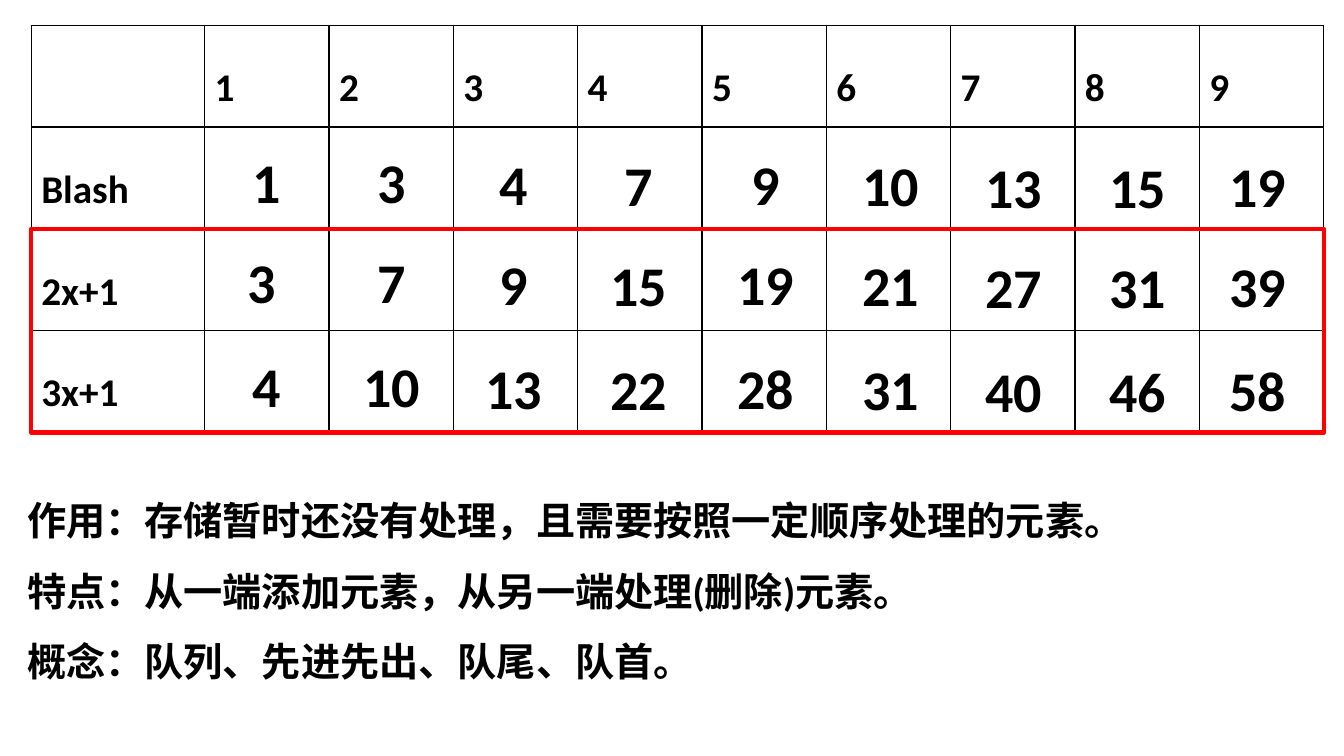
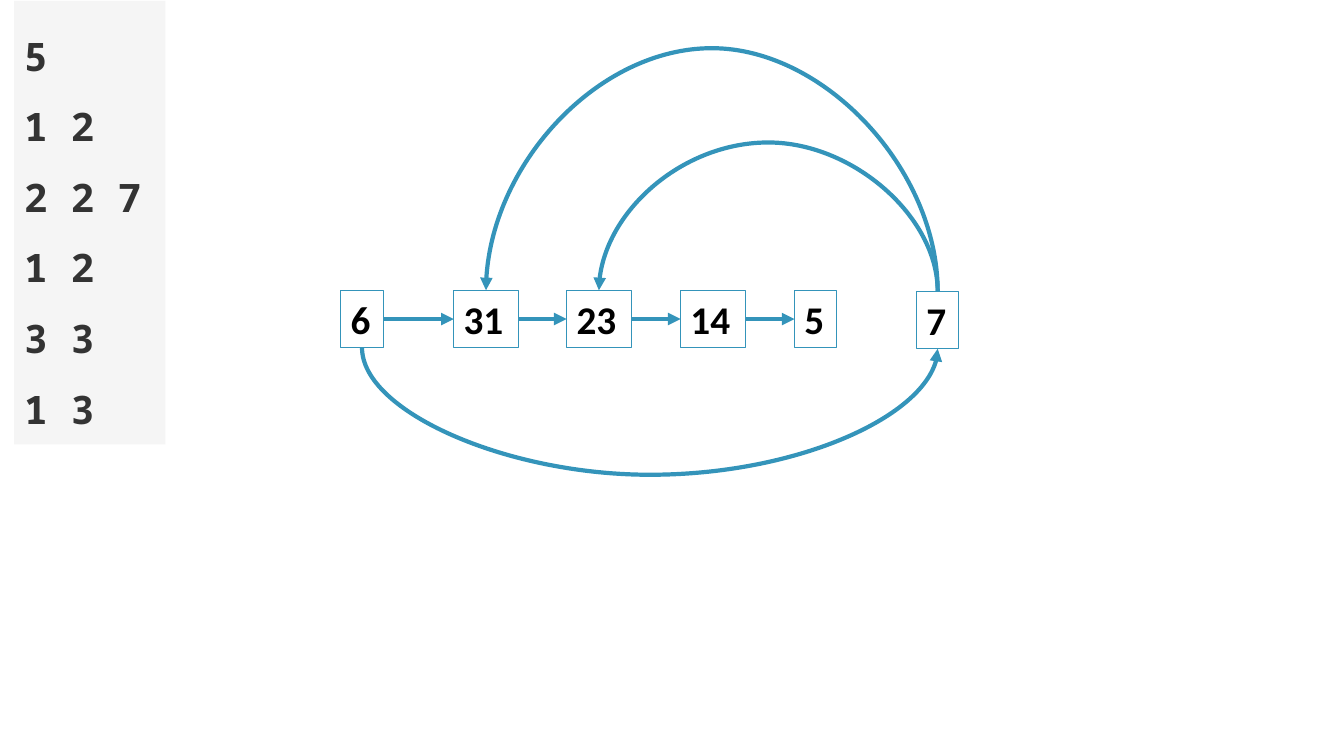
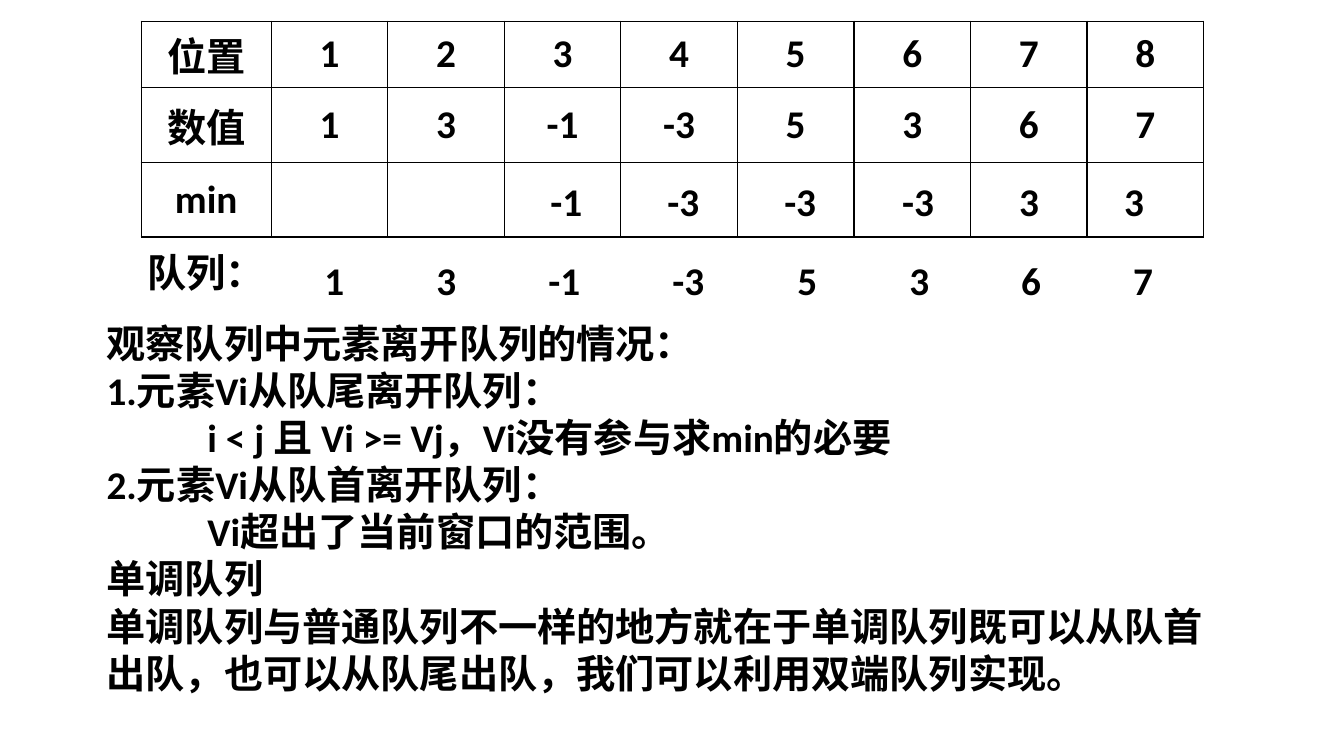
import dataclasses

import lxml.etree
import pptx
import pptx.dml.color
import pptx.enum.shapes
import pptx.enum.text
import pptx.oxml.ns
import pptx.util

ALIGN = pptx.enum.text.PP_ALIGN
ANCHOR = pptx.enum.text.MSO_ANCHOR
GROW = pptx.enum.text.MSO_AUTO_SIZE.SHAPE_TO_FIT_TEXT
CONNECTOR = pptx.enum.shapes.MSO_CONNECTOR
RECT = pptx.enum.shapes.MSO_SHAPE.RECTANGLE
PX = 9144
TOP, LEFT, BOTTOM, RIGHT = range(4)


@dataclasses.dataclass(frozen=True)
class Theme:
    """Colours, fonts, type sizes and line widths of the deck."""
    ink: str = "000000"
    code_ink: str = "333333"
    code_fill: str = "F5F5F5"
    accent: str = "3494BA"
    alert: str = "FF0000"
    font: str = "Calibri"
    code_font: str = "Noto Sans Mono"
    body: int = 28
    big: int = 40
    hairline: float = 0.75
    rule: float = 1
    heavy: float = 3


THEME = Theme()


def px(n):
    """Turn px into EMU."""
    return pptx.util.Emu(round(n * PX))


def rgb(value):
    """Turn a hex string into a colour."""
    return pptx.dml.color.RGBColor.from_string(value)


def apply(obj, values):
    """Set attributes from a dict of format values."""
    for name, value in values.items():
        setattr(obj, name, value)


def add_xml(parent, tag, **attrs):
    """Append a DrawingML child."""
    return lxml.etree.SubElement(parent, pptx.oxml.ns.qn(tag), attrs)


def write(tf, lines, para=None, size=THEME.body, font=THEME.font, ink=THEME.ink):
    """Write bold paragraphs into a text frame."""
    for i, line in enumerate(lines):
        p = tf.paragraphs[0] if i == 0 else tf.add_paragraph()
        apply(p, para or {})
        r = p.add_run()
        r.text = line
        r._r.get_or_add_rPr().set("lang", "zh-CN")
        apply(r.font, {"size": pptx.util.Pt(size), "name": font, "bold": True})
        r.font.color.rgb = rgb(ink)


def text(s, box, lines, frame=None, para=None, size=THEME.body):
    """Add a text box."""
    tf = s.shapes.add_textbox(*map(px, box)).text_frame
    apply(tf, {"word_wrap": True, **(frame or {})})
    write(tf, lines, para, size)
    return tf


def rect(s, box, line=None, width=0, fill=None):
    """Add a rectangle with an optional outline and fill."""
    sp = s.shapes.add_shape(RECT, *map(px, box))
    sp.shadow.inherit = False
    if fill:
        sp.fill.solid()
        sp.fill.fore_color.rgb = rgb(fill)
    else:
        sp.fill.background()
    if line:
        sp.line.color.rgb = rgb(line)
        sp.line.width = pptx.util.Pt(width)
    else:
        sp.line.fill.background()
    return sp


def border(cell):
    """Rule all four sides of a table cell."""
    tcPr = cell._tc.get_or_add_tcPr()
    for side in "LRTB":
        ln = add_xml(tcPr, "a:ln" + side, w=str(pptx.util.Pt(THEME.rule)))
        add_xml(add_xml(ln, "a:solidFill"), "a:srgbClr", val=THEME.ink)


def grid(s, box, first, heights, data, para):
    """Add a ruled table whose columns after the first are equal."""
    count = len(data[0])
    tbl = s.shapes.add_table(len(data), count, *map(px, box)).table
    apply(tbl, {"first_row": False, "horz_banding": False})
    for i, col in enumerate(tbl.columns):
        col.width = px(first if i == 0 else (box[2] - first) / (count - 1))
    for row, height, values in zip(tbl.rows, heights, data):
        row.height = px(height)
        for cell, value in zip(row.cells, values):
            border(cell)
            cell.fill.background()
            cell.vertical_anchor = ANCHOR.MIDDLE
            if value:
                write(cell.text_frame, [value], para)


def join(s, kind, a, site_a, b, site_b):
    """Add an arrow joining two shapes."""
    c = s.shapes.add_connector(kind, 0, 0, 0, 0)
    c.begin_connect(a, site_a)
    c.end_connect(b, site_b)
    c.line.color.rgb = rgb(THEME.accent)
    c.line.width = pptx.util.Pt(THEME.heavy)
    add_xml(c.line._get_or_add_ln(), "a:tailEnd", type="triangle")
    add_xml(c._element.spPr, "a:effectLst")
    return c


def arc(s, a, b, site, end_site, bulge):
    """Add a curved arrow that bulges by the given px."""
    c = join(s, CONNECTOR.CURVE, a, site, b, end_site)
    x1, y1, x2, y2 = c.begin_x, c.begin_y, c.end_x, c.end_y
    span, gap = abs(x2 - x1), abs(y2 - y1)
    apply(c, {"left": (x1 + x2 - gap) // 2, "top": (y1 + y2 - span) // 2,
              "width": gap, "height": span})
    xfrm = c._element.spPr.xfrm
    apply(xfrm, {"flipH": x1 < x2, "flipV": x1 > x2})
    xfrm.set("rot", "16200000")
    geom = c._element.spPr.find(pptx.oxml.ns.qn("a:prstGeom"))
    for old in list(geom):
        geom.remove(old)
    ratio = round(px(bulge) / gap * 100000)
    add_xml(add_xml(geom, "a:avLst"), "a:gd", name="adj1", fmla=f"val {ratio}")


def blash_table(s, box):
    """Place the sequence table, its large numbers and the red frame."""
    x, y, w, h = box
    data = [["", *map(str, range(1, 10))]]
    data += [[name] + [""] * 9 for name in ("Blash", "2x+1", "3x+1")]
    grid(s, box, 172, [h / 4] * 4, data, {"line_spacing": 1.5})
    numbers = [1, 3, 4, 7, 9, 10, 13, 15, 19]
    lefts = [171, 295, 416, 540, 666, 790, 912, 1035, 1154]
    drops = [0, 0, 2, 3, 2, 3, 5, 5, 4]
    for n, left, drop in zip(numbers, lefts, drops):
        for factor, top in ((1, 103), (2, 202), (3, 306)):
            value = n if factor == 1 else factor * n + 1
            nudge = -5 if (n, factor) == (1, 2) else 0
            text(s, (x + left + nudge, y + top + drop, 125, 103), [str(value)],
                 {"vertical_anchor": ANCHOR.MIDDLE},
                 {"alignment": ALIGN.CENTER}, THEME.big)
    rect(s, (x, y + h / 2, w, h / 2), THEME.alert, THEME.heavy)


def queue_notes(s, box):
    """Place the notes on what a queue is."""
    text(s, box, ["作用：存储暂时还没有处理，且需要按照一定顺序处理的元素。",
                  "特点：从一端添加元素，从另一端处理(删除)元素。",
                  "概念：队列、先进先出、队尾、队首。"],
         {"auto_size": GROW}, {"line_spacing": 1.5})


def input_panel(s, box):
    """Place the grey panel of sample input."""
    tf = rect(s, box, fill=THEME.code_fill).text_frame
    apply(tf, {"word_wrap": True, "auto_size": GROW,
               "vertical_anchor": ANCHOR.MIDDLE, "margin_left": px(10),
               "margin_right": px(10), "margin_top": px(5),
               "margin_bottom": px(10)})
    write(tf, ["5", "1 2", "2 2 7", "1 2", "3 3", "1 3"],
          {"line_spacing": 1.5, "alignment": ALIGN.LEFT},
          font=THEME.code_font, ink=THEME.code_ink)


def node_chain(s, box):
    """Place the linked nodes and the arrows between them."""
    x, y, _, h = box
    nodes = {}
    for label, left, drop in (("6", 0, 0), ("31", 112, 0), ("23", 224, 0),
                              ("14", 337, 0), ("5", 450, 0), ("7", 571, 1)):
        width = 42 if len(label) == 1 else 64
        sp = rect(s, (x + left, y + drop, width, h), THEME.accent, THEME.hairline)
        apply(sp.text_frame, {"word_wrap": False, "auto_size": GROW,
                              "vertical_anchor": ANCHOR.TOP})
        write(sp.text_frame, [label], {"alignment": ALIGN.LEFT})
        nodes[label] = sp
    chain = [nodes[label] for label in ("6", "31", "23", "14", "5")]
    for a, b in zip(chain, chain[1:]):
        join(s, CONNECTOR.STRAIGHT, a, RIGHT, b, LEFT)
    arc(s, nodes["7"], nodes["31"], TOP, TOP, 245)
    arc(s, nodes["6"], nodes["7"], BOTTOM, BOTTOM, 128)
    arc(s, nodes["7"], nodes["23"], TOP, TOP, 150)


def window_table(s, box):
    """Place the window table with its minimum row and the queue below."""
    x, y, _, _ = box
    values = ["1", "3", "-1", "-3", "5", "3", "6", "7"]
    data = [["位置", *map(str, range(1, 9))], ["数值", *values],
            ["min"] + [""] * 8]
    grid(s, box, 129, (53, 74, 74), data, {"alignment": ALIGN.CENTER})
    loose = {"word_wrap": False, "auto_size": GROW}
    rows = ((130, ["-1", "-3", "-3", "-3", "3", "3"],
             [396, 512, 628, 745, 861, 965]),
            (208, values, [172, 283, 394, 517, 641, 752, 863, 974]))
    for top, labels, lefts in rows:
        for label, left in zip(labels, lefts):
            width = 40 if len(label) == 1 else 52
            text(s, (x + left, y + top, width, 73), [label],
                 {**loose, "vertical_anchor": ANCHOR.MIDDLE},
                 {"line_spacing": 1.5})
    text(s, (x - 4, y + 220, 139, 57), ["队列："], loose)


def leaving_notes(s, box):
    """Place the notes on how elements leave the queue."""
    tf = text(s, box, [
        "观察队列中元素离开队列的情况：",
        "1.元素Vi从队尾离开队列：",
        "i < j 且 Vi >= Vj，Vi没有参与求min的必要",
        "2.元素Vi从队首离开队列：",
        "Vi超出了当前窗口的范围。",
        "单调队列",
        "单调队列与普通队列不一样的地方就在于单调队列既可以从队首出队，"
        "也可以从队尾出队，我们可以利用双端队列实现。"], {"auto_size": GROW})
    for i in (2, 4):
        tf.paragraphs[i]._p.get_or_add_pPr().set("marL", str(px(100)))


def main():
    """Build the deck."""
    prs = pptx.Presentation()
    apply(prs, {"slide_width": px(1333), "slide_height": px(750)})
    slides = (((blash_table, (31, 25, 1282, 404)),
               (queue_notes, (17, 464, 1317, 222))),
              ((input_panel, (14, 1, 150, 440)),
               (node_chain, (338, 288, 613, 57))),
              ((window_table, (140, 21, 1054, 206)),
               (leaving_notes, (96, 312, 1140, 434))))
    for regions in slides:
        s = prs.slides.add_slide(prs.slide_layouts[6])
        for place, box in regions:
            place(s, box)
    prs.save("out.pptx")


if __name__ == "__main__":
    main()
